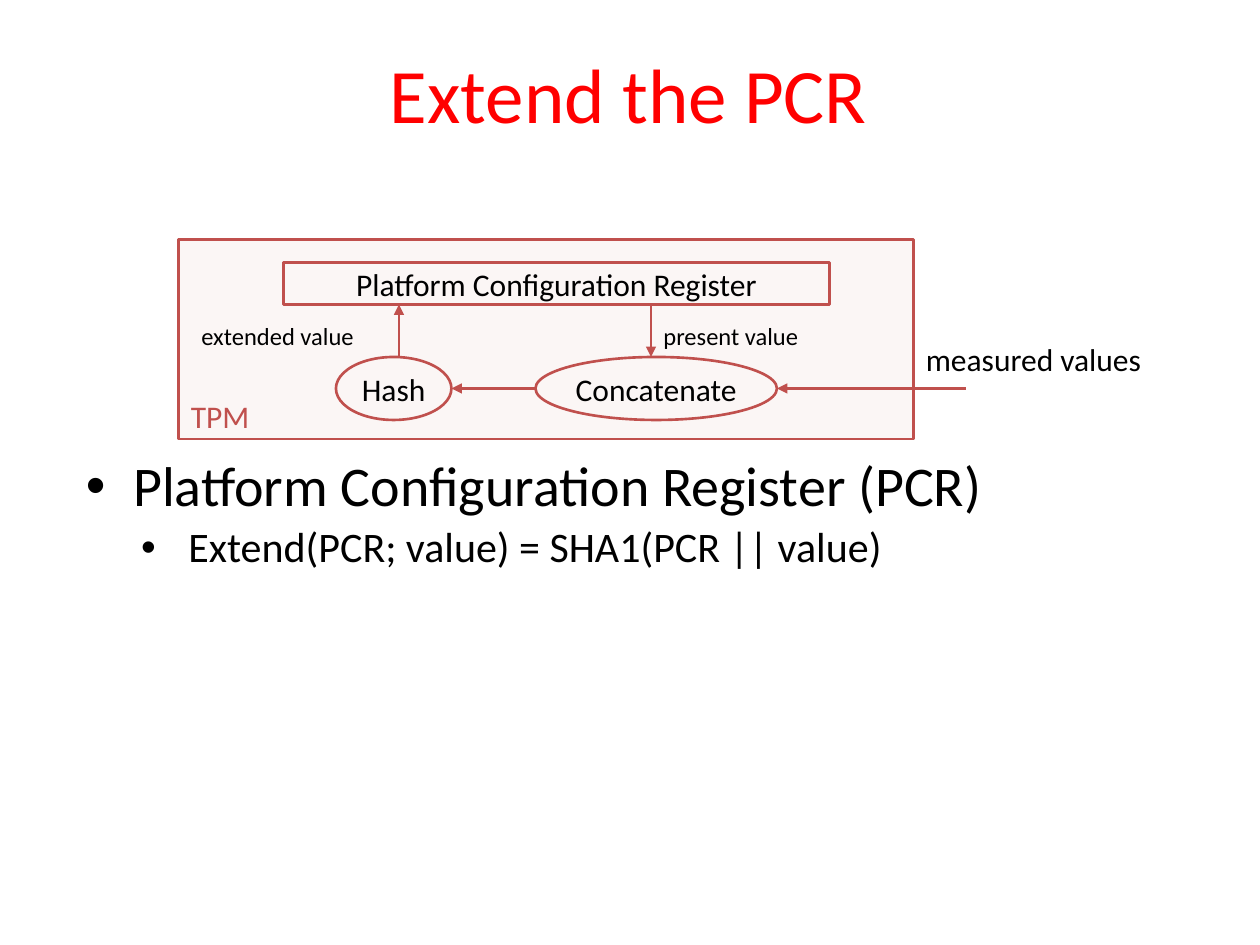
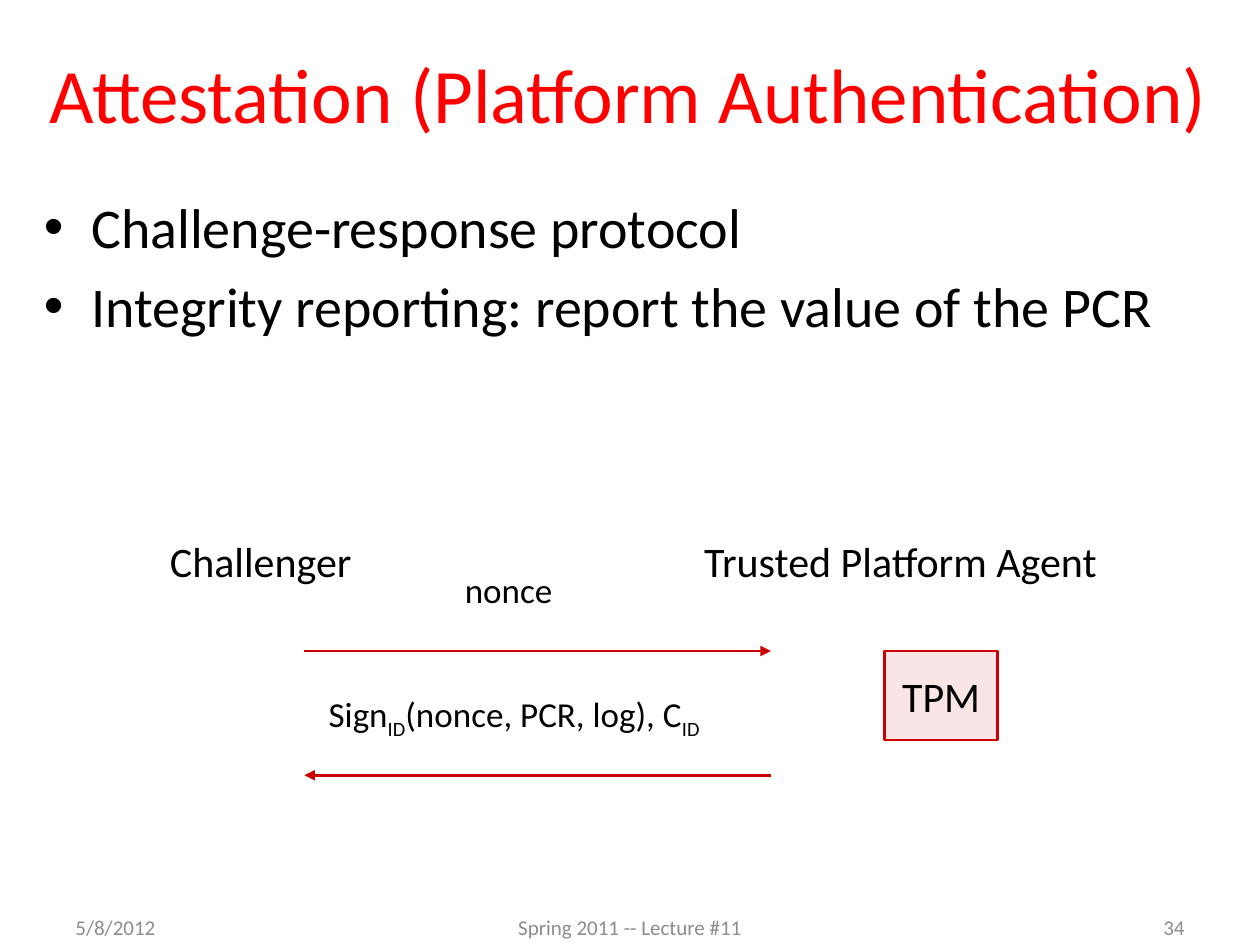
from dataclasses import dataclass

from lxml.etree import SubElement
from pptx import Presentation
from pptx.dml.color import RGBColor
from pptx.enum.shapes import MSO_CONNECTOR, MSO_SHAPE
from pptx.enum.text import MSO_ANCHOR, PP_ALIGN
from pptx.oxml.ns import qn
from pptx.util import Pt


@dataclass(frozen=True)
class Theme:
    font: str = "Calibri"
    title: str = "FF0000"
    text: str = "000000"
    footer: str = "8C8C8C"
    register: str = "C0504D"
    protocol: str = "CC0000"
    title_size: int = 44
    body_sizes: tuple = (32, 24)
    heading_size: int = 24
    message_size: int = 20
    node_size: int = 18
    note_size: int = 14
    footer_size: int = 12
    line: float = 1.5


THEME = Theme()
BODY_INDENTS = (27, 58.5)
HANGING = 27


def rgb(color):
    return RGBColor.from_string(color)


def write(p, text, size=THEME.node_size, color=THEME.text, baseline=0):
    r = p.add_run()
    r.text = text
    r.font.name = THEME.font
    r.font.size = Pt(size)
    r.font.color.rgb = rgb(color)
    if baseline:
        r.font._element.set("baseline", str(baseline * 1000))
    return r


def add_box(slide, x, y, w, h, anchor=MSO_ANCHOR.TOP):
    tf = slide.shapes.add_textbox(Pt(x), Pt(y), Pt(w), Pt(h)).text_frame
    tf.word_wrap = True
    tf.vertical_anchor = anchor
    return tf


def add_label(slide, text, x, y, w, h, align=PP_ALIGN.LEFT,
              anchor=MSO_ANCHOR.TOP, **fmt):
    p = add_box(slide, x, y, w, h, anchor).paragraphs[0]
    p.alignment = align
    write(p, text, **fmt)
    return p


def add_title(slide, text):
    add_label(slide, text, 18.72, 7.92, 681.12, 90, PP_ALIGN.CENTER,
              MSO_ANCHOR.MIDDLE, size=THEME.title_size, color=THEME.title)


def add_bullets(slide, items, x, y, w, h, line_spacing=1.0):
    tf = add_box(slide, x, y, w, h)
    for i, (level, text) in enumerate(items):
        p = tf.paragraphs[0] if i == 0 else tf.add_paragraph()
        size = THEME.body_sizes[level]
        p.level = level
        p.line_spacing = line_spacing
        p.space_before = Pt(0.2 * size if i else 0)
        pPr = p._p.get_or_add_pPr()
        pPr.set("marL", str(Pt(BODY_INDENTS[level])))
        pPr.set("indent", str(-Pt(HANGING)))
        SubElement(pPr, qn("a:buFont"), typeface="Arial")
        SubElement(pPr, qn("a:buChar"), char="•")
        write(p, text, size=size)


def add_node(slide, kind, x, y, w, h, color, text="", opacity=0, **fmt):
    sp = slide.shapes.add_shape(kind, Pt(x), Pt(y), Pt(w), Pt(h))
    sp.shadow.inherit = False
    sp.line.color.rgb = rgb(color)
    sp.line.width = Pt(THEME.line)
    if opacity:
        sp.fill.solid()
        sp.fill.fore_color.rgb = rgb(color)
        clr = sp.element.spPr.find(qn("a:solidFill")).find(qn("a:srgbClr"))
        SubElement(clr, qn("a:alpha"), val=str(opacity * 1000))
    else:
        sp.fill.background()
    if text:
        tf = sp.text_frame
        tf.word_wrap = False
        tf.vertical_anchor = MSO_ANCHOR.MIDDLE
        p = tf.paragraphs[0]
        p.alignment = PP_ALIGN.CENTER
        write(p, text, **fmt)
    return sp


def add_arrow(slide, x1, y1, x2, y2, color):
    cx = slide.shapes.add_connector(MSO_CONNECTOR.STRAIGHT,
                                    Pt(x1), Pt(y1), Pt(x2), Pt(y2))
    cx.line.color.rgb = rgb(color)
    cx.line.width = Pt(THEME.line)
    spPr = cx.element.spPr
    SubElement(spPr.find(qn("a:ln")), qn("a:tailEnd"), type="triangle")
    SubElement(spPr, qn("a:effectLst"))


def add_footer(slide, date, lecture, number):
    for text, x, w, align in ((date, 36, 168, PP_ALIGN.LEFT),
                              (lecture, 246, 228, PP_ALIGN.CENTER),
                              (number, 516, 168, PP_ALIGN.RIGHT)):
        add_label(slide, text, x, 515.5, w, 28.8, align, MSO_ANCHOR.MIDDLE,
                  size=THEME.footer_size, color=THEME.footer)


def add_register_diagram(slide):
    color = THEME.register
    top, bottom, middle = 174, 204, 222
    add_node(slide, MSO_SHAPE.RECTANGLE, 102, 136.8, 420, 114, color, opacity=5)
    add_node(slide, MSO_SHAPE.RECTANGLE, 162, 150, 312, top - 150, color,
             "Platform Configuration Register")
    for text, x, w in (("Hash", 192, 66), ("Concatenate", 306, 138)):
        add_node(slide, MSO_SHAPE.OVAL, x, bottom, w, 36, color, text)

    for ends in ((306, middle, 258, middle), (228, bottom, 228, top),
                 (372, top, 372, bottom), (552, middle, 444, middle)):
        add_arrow(slide, *ends, color)

    for text, x in (("extended value", 108), ("present value", 372)):
        add_label(slide, text, x, 180, 126, 24, size=THEME.note_size)
    add_label(slide, "measured values", 522, 190.8, 138, 28.8)
    add_label(slide, "TPM", 102, 223.2, 66, 28.8, color=color)


def add_protocol_diagram(slide):
    color = THEME.protocol
    left, right = 174, 440.5
    request_y, reply_y = 372, 443
    for text, x, w in (("Challenger", 90, 123),
                       ("Trusted Platform Agent", 395.3, 252.7)):
        add_label(slide, text, x, 302.4, w, 36, size=THEME.heading_size)

    add_arrow(slide, left, request_y, right, request_y, color)
    add_arrow(slide, right, reply_y, left, reply_y, color)
    add_label(slide, "nonce", 258.5, 321.1, 77.8, 31.7, size=THEME.message_size)
    p = add_label(slide, "Sign", 180.7, 392.4, 272.9, 31.7,
                  size=THEME.message_size)
    for text, baseline in (("ID", -25), ("(nonce, PCR, log), C", 0), ("ID", -25)):
        write(p, text, size=THEME.message_size, baseline=baseline)

    add_node(slide, MSO_SHAPE.RECTANGLE, 505.4, request_y, 64.8, 51, color,
             "TPM", opacity=10, size=THEME.heading_size)


def build_extend(slide):
    add_title(slide, "Extend the PCR")
    add_bullets(slide, [(0, "Platform Configuration Register (PCR)"),
                        (1, "Extend(PCR; value) = SHA1(PCR || value)")],
                42, 258, 630, 246, line_spacing=0.9)
    add_register_diagram(slide)


def build_attestation(slide):
    add_title(slide, "Attestation (Platform Authentication)")
    add_bullets(slide, [(0, "Challenge-response protocol"),
                        (0, "Integrity reporting: report the value of the PCR")],
                18, 106.6, 702, 262)
    add_footer(slide, "5/8/2012", "Spring 2011 -- Lecture #11", "34")
    add_protocol_diagram(slide)


def main():
    prs = Presentation()
    prs.slide_width, prs.slide_height = Pt(720), Pt(540)
    for build in (build_extend, build_attestation):
        build(prs.slides.add_slide(prs.slide_layouts[6]))
    prs.save("out.pptx")


if __name__ == "__main__":
    main()
